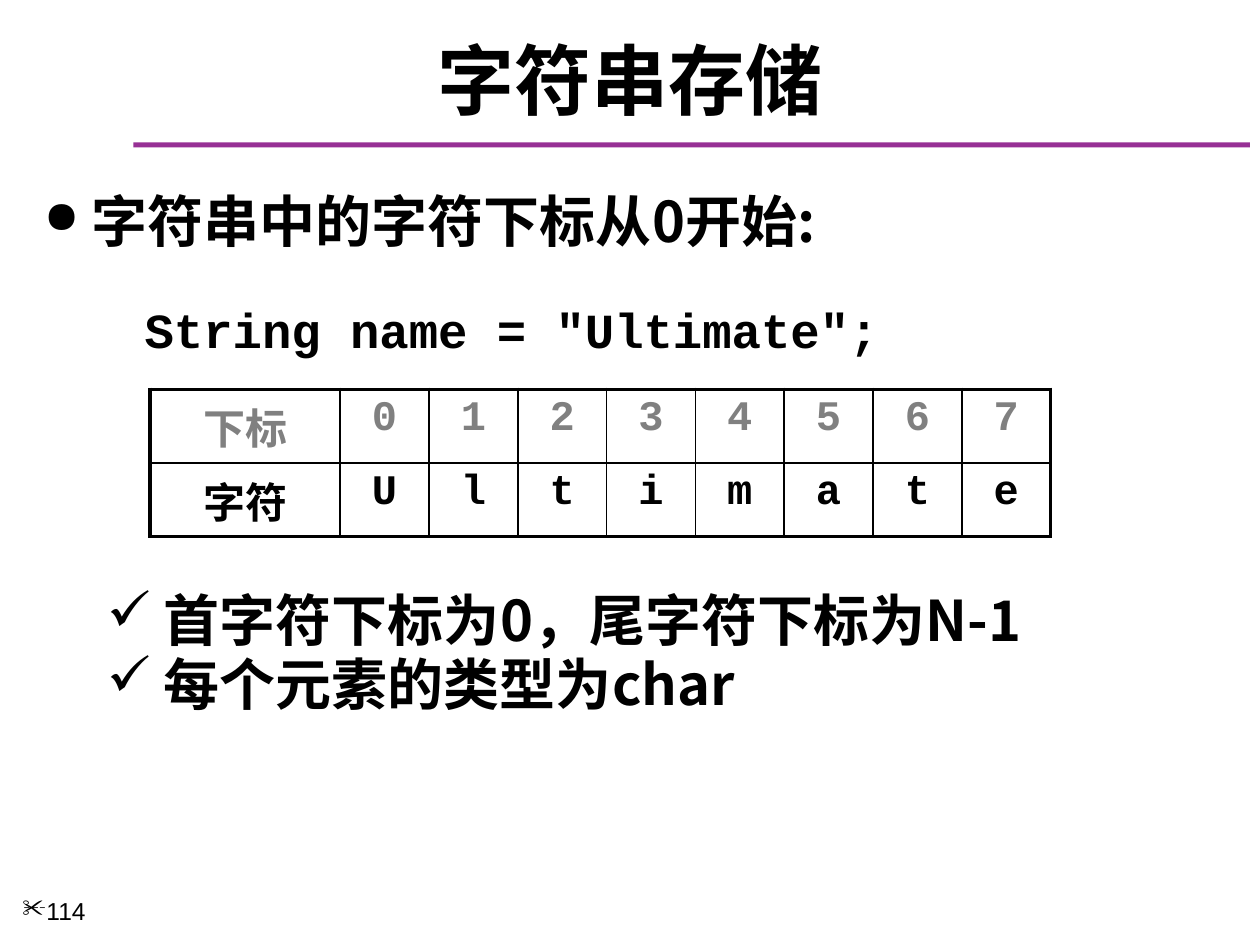
from lxml import etree
from pptx import Presentation
from pptx.dml.color import RGBColor
from pptx.enum.shapes import MSO_SHAPE
from pptx.enum.text import MSO_ANCHOR, MSO_AUTO_SIZE, PP_ALIGN
from pptx.oxml.ns import qn
from pptx.util import Inches, Pt

RECTANGLE = MSO_SHAPE.RECTANGLE
MIDDLE = MSO_ANCHOR.MIDDLE
NO_AUTOFIT = MSO_AUTO_SIZE.NONE
LEFT, CENTER = PP_ALIGN.LEFT, PP_ALIGN.CENTER

SLIDE_WIDTH, SLIDE_HEIGHT = Inches(10), Inches(7.5)
COLORS = {"text": "000000", "rule": "973095", "index": "808080", "border": "000000"}
CHINESE, CODE, NUMBER = "Noto Sans CJK SC", "Courier New", "Arial"
THIN, THICK = 1, 2.25
WORD = "Ultimate"


def across(percent):
    return round(SLIDE_WIDTH * percent / 100)


def down(percent):
    return round(SLIDE_HEIGHT * percent / 100)


def area(left, top, width, height):
    return across(left), down(top), across(width), down(height)


def write(paragraph, text, size=32, font=CHINESE, color="text", bold=True,
          align=LEFT, spacing=1.0):
    paragraph.alignment = align
    paragraph.line_spacing = spacing
    paragraph.space_before = Pt(0)
    run = paragraph.add_run()
    run.text = text
    run.font.size = Pt(size)
    run.font.bold = bold
    run.font.name = font
    run.font.color.rgb = RGBColor.from_string(COLORS[color])
    east_asian = etree.SubElement(run.font._element, qn("a:ea"))
    east_asian.set("typeface", CHINESE)


def add_bullet(paragraph, mark, margin, hanging, percent=100):
    properties = paragraph._p.get_or_add_pPr()
    properties.set("marL", str(across(margin)))
    properties.set("indent", str(-across(hanging)))
    etree.SubElement(properties, qn("a:buSzPct")).set("val", str(percent * 1000))
    etree.SubElement(properties, qn("a:buChar")).set("char", mark)


def add_lines(slide, place, lines, bullet=None, **style):
    frame = slide.shapes.add_textbox(*place).text_frame
    frame.word_wrap = True
    for number, line in enumerate(lines):
        paragraph = frame.add_paragraph() if number else frame.paragraphs[0]
        write(paragraph, line, **style)
        if bullet:
            add_bullet(paragraph, *bullet)


def set_title(slide, text):
    title = slide.shapes.title
    title.left, title.top, title.width, title.height = area(1.7, 3.33, 96.7, 10)
    frame = title.text_frame
    frame.auto_size = NO_AUTOFIT
    frame.vertical_anchor = MIDDLE
    write(frame.paragraphs[0], text, size=44, align=CENTER)


def add_rule(slide):
    rule = slide.shapes.add_shape(RECTANGLE, *area(10.6, 15.07, 88.6, 0.53))
    rule.shadow.inherit = False
    rule.fill.solid()
    rule.fill.fore_color.rgb = RGBColor.from_string(COLORS["rule"])
    rule.line.fill.background()


def set_borders(cell, **widths):
    properties = cell._tc.get_or_add_tcPr()
    for side, width in widths.items():
        line = etree.SubElement(properties, qn(f"a:ln{side}"), w=str(Pt(width)))
        fill = etree.SubElement(line, qn("a:solidFill"))
        etree.SubElement(fill, qn("a:srgbClr"), val=COLORS["border"])


def add_index_table(slide):
    rows = [["下标", *map(str, range(len(WORD)))], ["字符", *WORD]]
    row_colors = ["index", "text"]
    widths = [15.1] + [7.05] * len(WORD)
    row_height = 7.8
    place = area(11.9, 41.2, sum(widths), row_height * len(rows))
    table = slide.shapes.add_table(len(rows), len(widths), *place).table
    table.first_row = table.horz_banding = False
    for column, width in zip(table.columns, widths):
        column.width = across(width)
    last_row, last_column = len(rows) - 1, len(widths) - 1
    for r, (values, color) in enumerate(zip(rows, row_colors)):
        table.rows[r].height = down(row_height)
        for c, value in enumerate(values):
            cell = table.cell(r, c)
            set_borders(cell,
                        L=THICK if c == 0 else THIN,
                        R=THICK if c == last_column else THIN,
                        T=THICK if r == 0 else THIN,
                        B=THICK if r == last_row else THIN)
            cell.fill.background()
            write(cell.text_frame.paragraphs[0], value, size=24, color=color,
                  font=CODE if c else CHINESE, align=CENTER)


def main():
    presentation = Presentation()
    presentation.slide_width, presentation.slide_height = SLIDE_WIDTH, SLIDE_HEIGHT
    slide = presentation.slides.add_slide(presentation.slide_layouts[5])
    add_rule(slide)
    set_title(slide, "字符串存储")
    add_lines(slide, area(0.8, 94.13, 10.8, 5.87), ["114"],
              bullet=("✂", 1.9, 1.9), size=14, font=NUMBER, bold=False)
    add_lines(slide, area(2.5, 19.07, 93.3, 10), ["字符串中的字符下标从0开始:"],
              bullet=("●", 3.8, 3.8, 80))
    add_lines(slide, area(10.5, 31.07, 85.3, 7.5), [f'String name = "{WORD}";'],
              size=28, font=CODE)
    add_index_table(slide)
    add_lines(slide, area(2.5, 61.73, 93.3, 20),
              [" 首字符下标为0，尾字符下标为N-1", " 每个元素的类型为char"],
              bullet=("✓", 8.1, 3.1), spacing=0.96)
    presentation.save("out.pptx")


if __name__ == "__main__":
    main()
